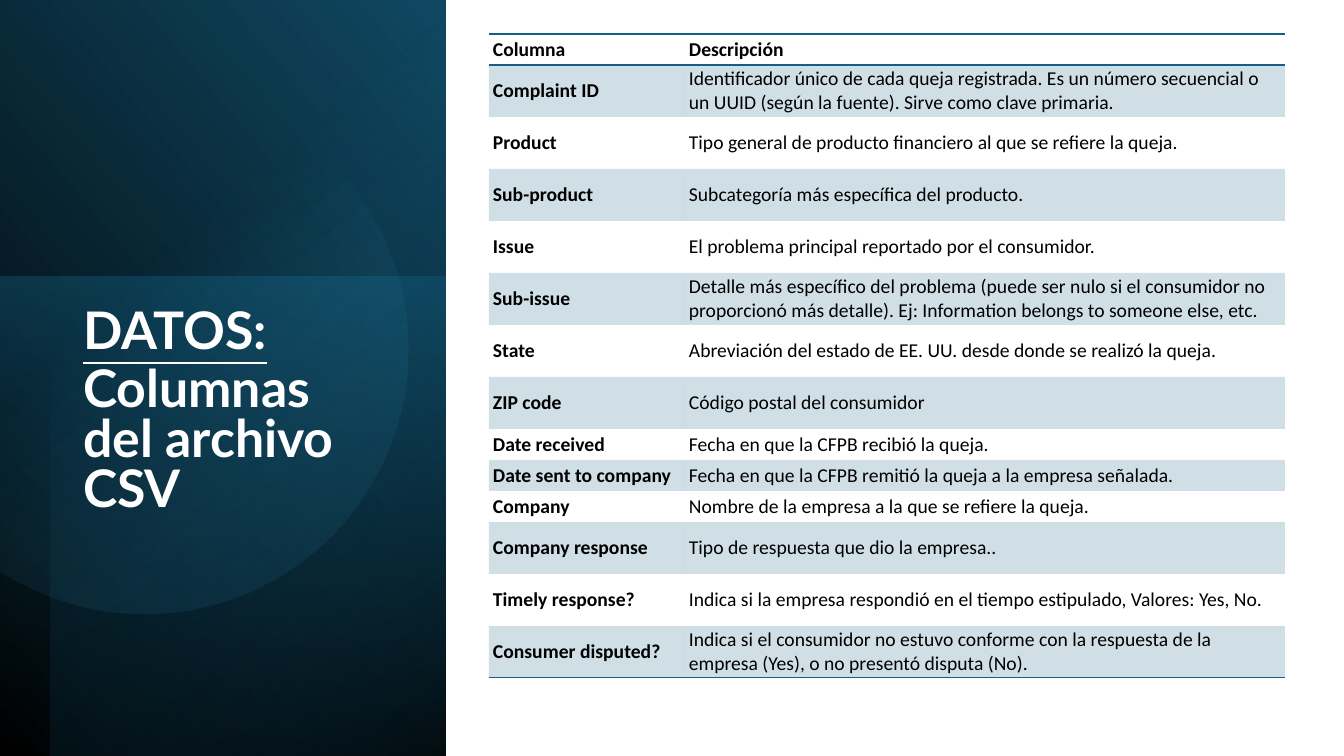
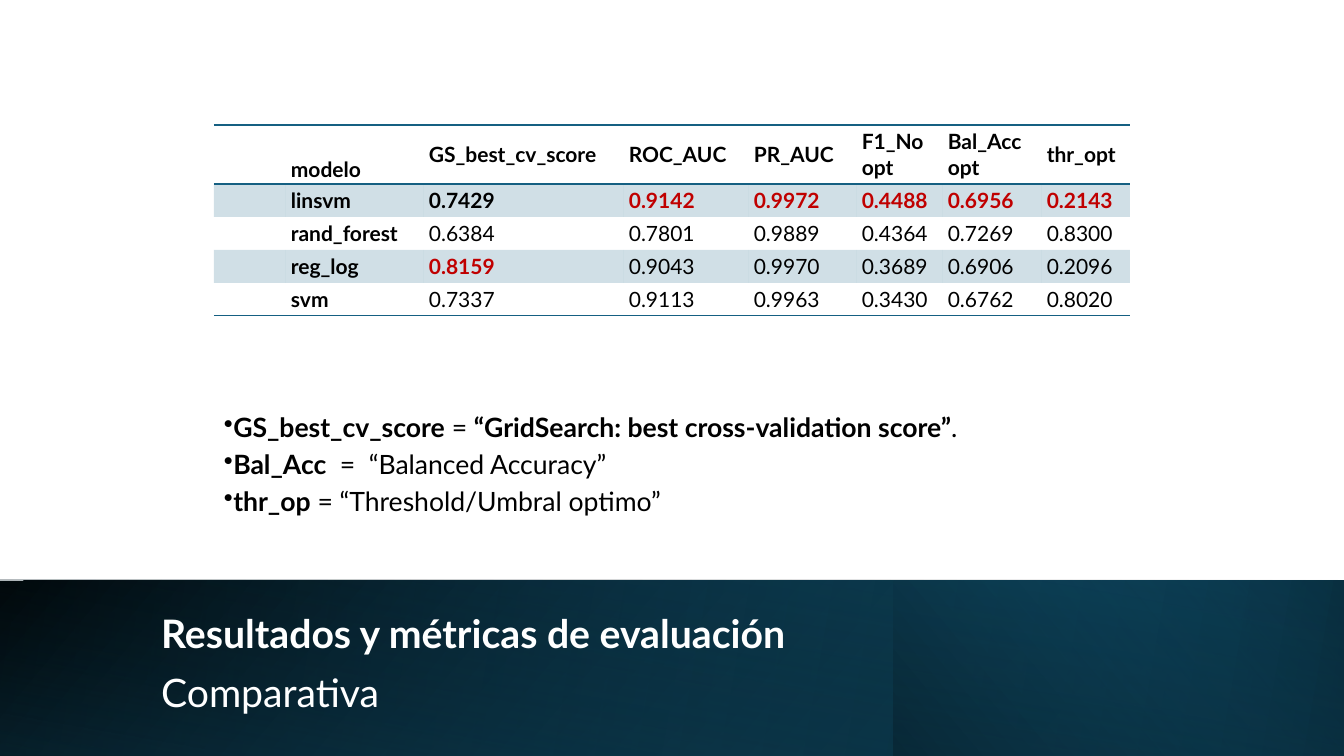
from math import acos, cos, sin

from lxml.etree import SubElement
from pptx import Presentation
from pptx.dml.color import RGBColor
from pptx.enum.shapes import MSO_SHAPE as Shape
from pptx.enum.text import MSO_ANCHOR as Anchor, MSO_AUTO_SIZE as Auto, PP_ALIGN as Align
from pptx.oxml import parse_xml
from pptx.oxml.ns import nsdecls, qn
from pptx.util import Emu, Pt

# Shared look
PX = 914400 / 100.8
WIDE, HIGH = 1344, 756
BLUE, NAVY, DEEP, SKY = "156082", "0B3041", "104862", "46B1E1"
BLACK, WHITE, RED = "000000", "FFFFFF", "C00000"
LATO, CALIBRI = "Lato", "Calibri"
PLAIN_STYLE = "{2D5ABB26-0587-4C30-8999-92F81FD0307C}"

# Bands: box, rotation, flipped, angle, stops (position, colour, opacity)
SIDE = [
    ((-156, 156, 758, 446), 90, True, 310, [(0, BLACK, 100), (100, DEEP, 100)]),
    ((-17, 293, 480, 446), 270, False, 190, [(0, BLUE, 50), (100, NAVY, 0)]),
    ((-130, 180, 756, 395), 270, True, 220, [(0, BLACK, 59), (69, BLUE, 0)]),
]
FOOT = [
    ((0, 581, 1344, 175), 0, True, 140, [(0, BLACK, 100), (100, BLUE, 100)]),
    ((0, 581, 1344, 175), 0, True, 170, [(0, BLUE, 0), (100, NAVY, 100)]),
    ((894, 581, 450, 175), 0, True, 220, [(0, NAVY, 100), (100, BLUE, 0)]),
    ((-1, 580, 1344, 176), 180, False, 280, [(0, BLACK, 0), (99, NAVY, 55)]),
]
DISC = (144, 349, 264)
DISC_STOPS = [(39, SKY, 0), (100, DEEP, 26)]

# Slide 1: the columns of the file
FIELDS = [
    ("Columna", "Descripción"),
    ("Complaint ID", "Identificador único de cada queja registrada. Es un número secuencial "
     "o un UUID (según la fuente). Sirve como clave primaria."),
    ("Product", "Tipo general de producto financiero al que se refiere la queja."),
    ("Sub-product", "Subcategoría más específica del producto."),
    ("Issue", "El problema principal reportado por el consumidor."),
    ("Sub-issue", "Detalle más específico del problema (puede ser nulo si el consumidor no "
     "proporcionó más detalle). Ej: Information belongs to someone else, etc."),
    ("State", "Abreviación del estado de EE. UU. desde donde se realizó la queja."),
    ("ZIP code", "Código postal del consumidor"),
    ("Date received", "Fecha en que la CFPB recibió la queja."),
    ("Date sent to company", "Fecha en que la CFPB remitió la queja a la empresa señalada."),
    ("Company", "Nombre de la empresa a la que se refiere la queja."),
    ("Company response", "Tipo de respuesta que dio la empresa.."),
    ("Timely response?", "Indica si la empresa respondió en el tiempo estipulado, Valores: Yes, No."),
    ("Consumer disputed?", "Indica si el consumidor no estuvo conforme con la respuesta de la "
     "empresa (Yes), o no presentó disputa (No)."),
]
SHORT = {0, 8, 9, 10}

# Slide 2: scores of the models
SCORES = [
    ("", "modelo", "GS_best_cv_score", "ROC_AUC", "PR_AUC", "F1_No\nopt", "Bal_Acc\nopt", "thr_opt"),
    ("", "linsvm", "0.7429", "0.9142", "0.9972", "0.4488", "0.6956", "0.2143"),
    ("", "rand_forest", "0.6384", "0.7801", "0.9889", "0.4364", "0.7269", "0.8300"),
    ("", "reg_log", "0.8159", "0.9043", "0.9970", "0.3689", "0.6906", "0.2096"),
    ("", "svm", "0.7337", "0.9113", "0.9963", "0.3430", "0.6762", "0.8020"),
]
BEST = {(1, col) for col in range(3, 8)} | {(3, 2)}
TERMS = [
    [("GS_best_cv_score", True), (" = ", False),
     ("“GridSearch: best cross-validation score”", True), (".", False)],
    [("Bal_Acc", True), ("  =  “Balanced Accuracy”", False)],
    [("thr_op", True), (" = “Threshold/Umbral optimo”", False)],
]


def px(*nums):
    return [Emu(round(num * PX)) for num in nums]


def rgb(code):
    return RGBColor.from_string(code)


def style(font, name, size, color, bold=None):
    font.name, font.size, font.bold = name, Pt(size), bold
    font.color.rgb = rgb(color)


def shade(shape, angle, stops):
    """Give a shape a see-through gradient and no outline."""
    marks = "".join(
        f'<a:gs pos="{pos * 1000}"><a:srgbClr val="{color}">'
        f'<a:alpha val="{alpha * 1000}"/></a:srgbClr></a:gs>'
        for pos, color, alpha in stops)
    grad = parse_xml(
        f'<a:gradFill {nsdecls("a")} rotWithShape="1"><a:gsLst>{marks}</a:gsLst>'
        f'<a:lin ang="{angle * 60000}" scaled="0"/></a:gradFill>')
    shape.shadow.inherit = False
    shape.line.fill.background()
    shape.fill.background()
    props = shape._element.spPr
    props.replace(props.find(qn("a:noFill")), grad)


def add_bands(slide, bands):
    for box, turn, flip, angle, stops in bands:
        band = slide.shapes.add_shape(Shape.RECTANGLE, *px(*box))
        band.rotation = turn
        if flip:
            band._element.spPr.xfrm.set("flipH", "1")
        shade(band, angle, stops)


def add_disc(slide):
    """Draw the part of the disc that lies on the slide."""
    mid, down, size = DISC
    edge, steps = acos(-mid / size), 60
    turns = [edge * (2 * i / steps - 1) for i in range(steps + 1)]
    dots = [px(mid + size * cos(turn), down + size * sin(turn)) for turn in turns]
    path = slide.shapes.build_freeform(*dots[0])
    path.add_line_segments(dots[1:])
    shade(path.convert_to_shape(), 52, DISC_STOPS)


def set_title(slide, box, lines, size, space, after, anchor):
    """Place the title over the bands; lines are (text, bold, underline)."""
    title = slide.shapes.title
    slide.shapes._spTree.append(title._element)
    title.left, title.top, title.width, title.height = px(*box)
    frame = title.text_frame
    frame.word_wrap, frame.auto_size, frame.vertical_anchor = True, Auto.NONE, anchor
    frame.text = "\n".join(line[0] for line in lines)
    for para, (_, bold, under) in zip(frame.paragraphs, lines):
        para.alignment, para.line_spacing, para.space_after = Align.LEFT, space, Pt(after)
        style(para.font, LATO, size, WHITE, bold)
        para.font.underline = under


def rule(cell, side):
    cell._tc.get_or_add_tcPr().append(parse_xml(
        f'<a:{side} {nsdecls("a")} w="12700"><a:solidFill>'
        f'<a:srgbClr val="{BLUE}"/></a:solidFill></a:{side}>'))


def add_grid(slide, spot, rows, cols, highs, font, size, pad, bold, red=()):
    """Add a table with rules at head and foot and every second row tinted."""
    box = px(*spot, sum(cols), sum(highs))
    frame = slide.shapes.add_table(len(rows), len(cols), *box)
    grid = frame.table
    grid.first_row = grid.horz_banding = False
    grid._tbl.tblPr.find(qn("a:tableStyleId")).text = PLAIN_STYLE
    for col, wide in zip(grid.columns, px(*cols)):
        col.width = wide
    for row, high in zip(grid.rows, px(*highs)):
        row.height = high
    for r, row in enumerate(rows):
        for c, text in enumerate(row):
            cell = grid.cell(r, c)
            cell.text = text
            cell.vertical_anchor = Anchor.MIDDLE
            cell.margin_left, cell.margin_right, cell.margin_top, cell.margin_bottom = px(pad, pad, 2, 2)
            for para in cell.text_frame.paragraphs:
                style(para.font, font, size, RED if (r, c) in red else BLACK, bold(r, c))
            if r == 0:
                rule(cell, "lnT")
            if r in (0, len(rows) - 1):
                rule(cell, "lnB")
            if r % 2:
                cell.fill.solid()
                cell.fill.fore_color.rgb = rgb(BLUE)
                tint = cell._tc.tcPr.find(qn("a:solidFill")).find(qn("a:srgbClr"))
                SubElement(tint, qn("a:alpha")).set("val", "20000")
            else:
                cell.fill.background()
    return grid


def add_terms(slide, box):
    frame = slide.shapes.add_textbox(*px(*box)).text_frame
    frame.word_wrap, frame.vertical_anchor = True, Anchor.MIDDLE
    for i, parts in enumerate(TERMS):
        para = frame.add_paragraph() if i else frame.paragraphs[0]
        para.line_spacing, para.space_after = 0.9, Pt(6)
        props = para._p.get_or_add_pPr()
        props.set("marL", "0")
        props.set("indent", "-228600")
        SubElement(props, qn("a:buChar")).set("char", "•")
        style(para.font, LATO, 19, BLACK)
        for text, bold in parts:
            run = para.add_run()
            run.text, run.font.bold = text, bold


def main():
    deck = Presentation()
    deck.slide_width, deck.slide_height = px(WIDE, HIGH)
    layout = deck.slide_layouts[5]

    # Slide 1
    slide = deck.slides.add_slide(layout)
    add_bands(slide, SIDE)
    add_disc(slide)
    set_title(slide, (73, 305, 318, 339),
              [("DATOS:", True, True), ("Columnas del archivo CSV", True, False)],
              37, 0.8, 6, Anchor.TOP)
    highs = [31 if r in SHORT else 52 for r in range(len(FIELDS))]
    add_grid(slide, (489, 34), FIELDS, (196, 600), highs, CALIBRI, 14, 4,
             lambda r, c: r == 0 or c == 0)

    # Slide 2
    slide = deck.slides.add_slide(layout)
    add_bands(slide, FOOT)
    set_title(slide, (151, 608, 1091, 114),
              [("Resultados y métricas de evaluación", True, False), ("Comparativa", False, False)],
              28, 0.9, 12, Anchor.MIDDLE)
    add_terms(slide, (214, 405, 918, 122))
    grid = add_grid(slide, (214, 125), SCORES, (72, 138, 200, 125, 108, 86, 99, 88),
                    [59] + [33] * 4, LATO, 15, 5,
                    lambda r, c: r < 2 or c == 1 or (r, c) in BEST, BEST)
    grid.cell(0, 1).vertical_anchor = Anchor.BOTTOM

    deck.save("out.pptx")


if __name__ == "__main__":
    main()
